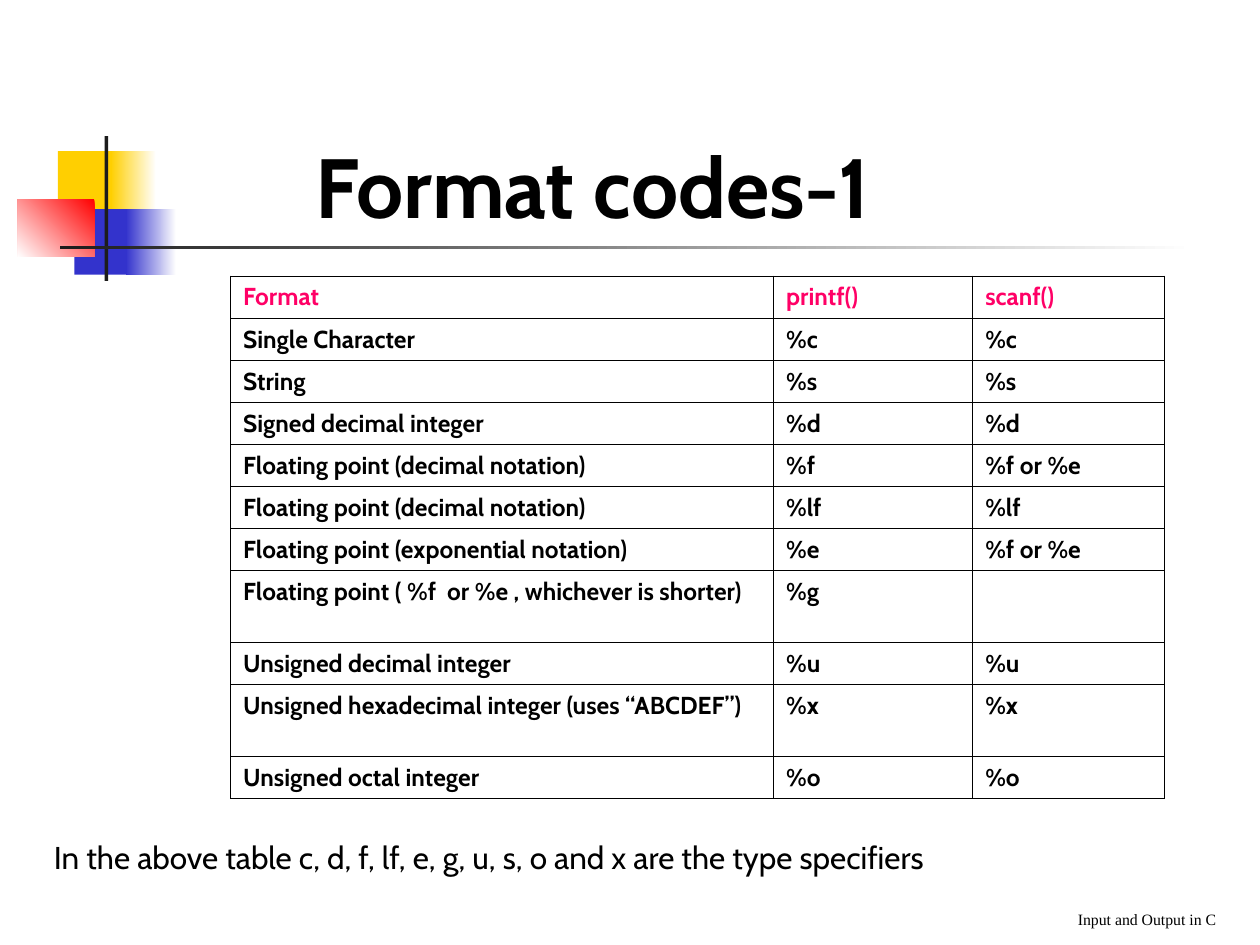
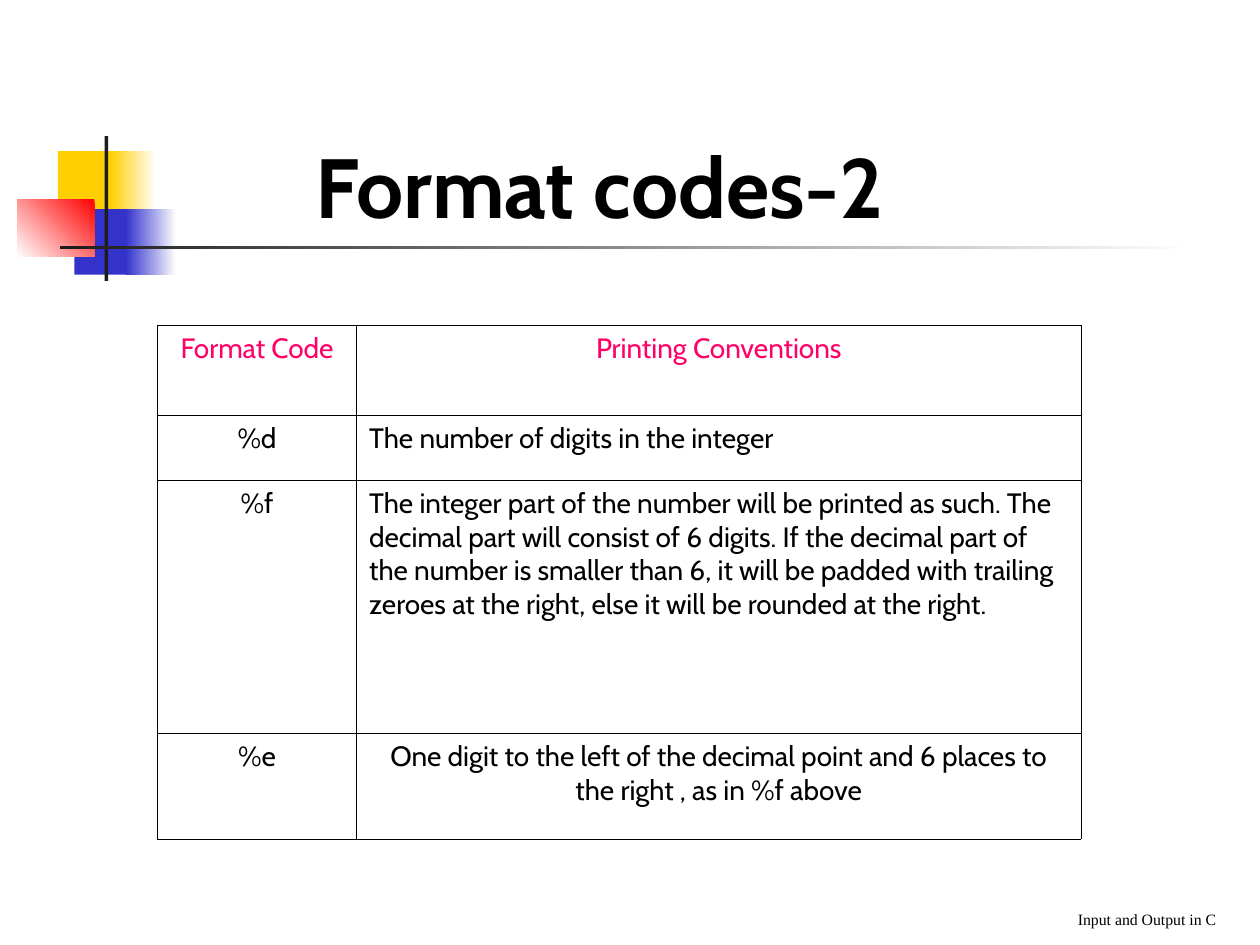
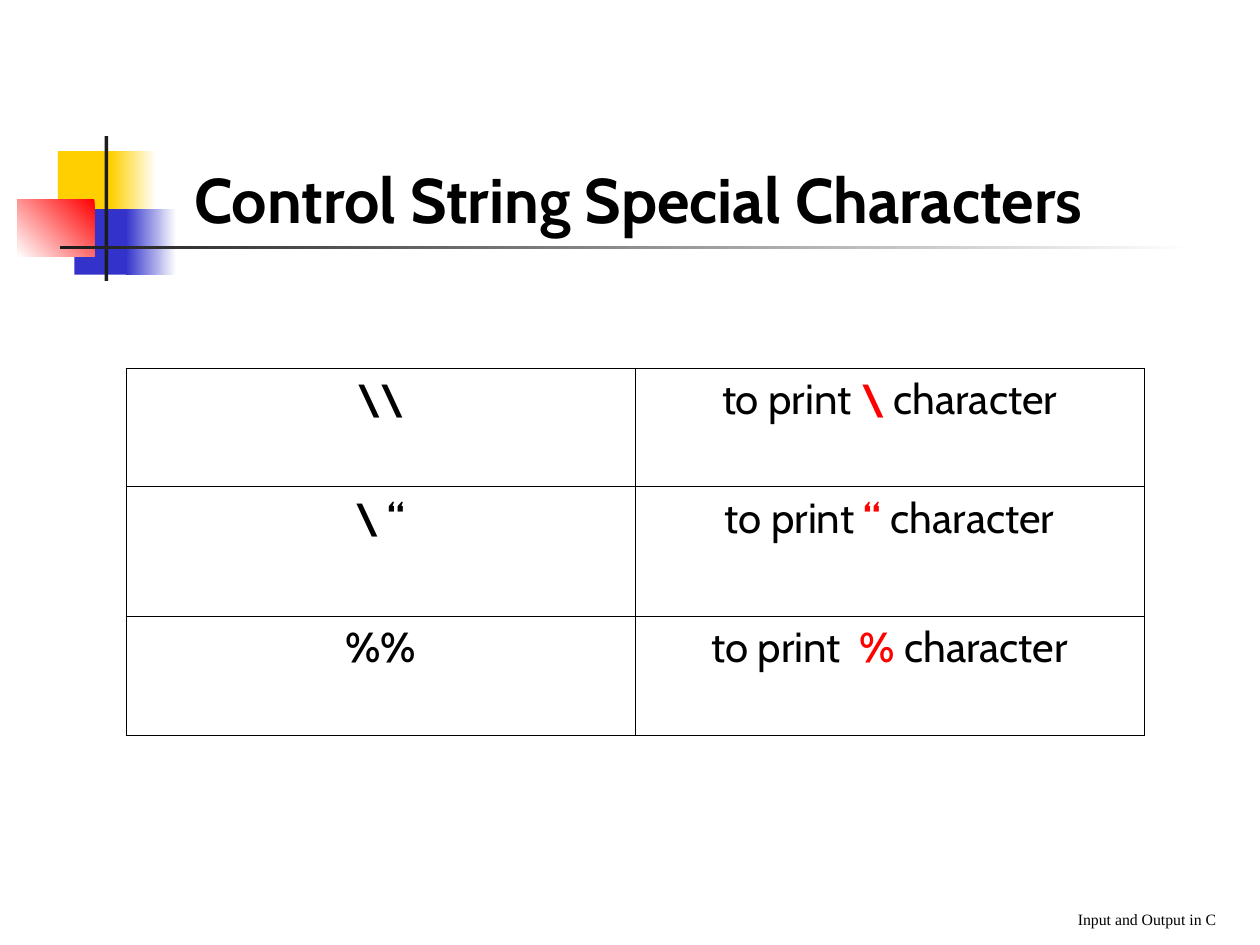
from dataclasses import dataclass
from typing import NamedTuple

from lxml.etree import SubElement
from pptx import Presentation
from pptx.dml.color import RGBColor
from pptx.enum.shapes import MSO_SHAPE
from pptx.enum.text import MSO_ANCHOR, MSO_AUTO_SIZE, PP_ALIGN
from pptx.oxml.ns import qn
from pptx.util import Inches, Pt

COLORS = {
    "black": "000000",
    "white": "FFFFFF",
    "yellow": "FFCF01",
    "blue": "3333CC",
    "red": "FF0000",
    "ink": "1C1C1C",
    "pink": "FF0066",
}
FONT = "Cabin"
FOOTER_FONT = "Times New Roman"
FOOTER = "Input and Output in C"
BORDER_WIDTH = Pt(0.45)
LEFT, CENTER, RIGHT = PP_ALIGN.LEFT, PP_ALIGN.CENTER, PP_ALIGN.RIGHT


class Area(NamedTuple):
    left: float
    top: float
    width: float
    height: float

    def lengths(self) -> list:
        return [Inches(value) for value in self]


class Span(NamedTuple):
    text: str
    color: str = "black"
    bold: bool = False


class Cell(NamedTuple):
    spans: list[Span]
    align: PP_ALIGN = LEFT


@dataclass
class Block:
    """A rectangle of the master's ornament, solid or fading to a second colour."""
    area: Area
    color: str
    fade: str | None = None
    clockwise: int = 180


@dataclass
class Grid:
    left: float
    top: float
    columns: list[float]
    rows: list[float]
    size: int
    cells: list[list[Cell]]


@dataclass
class Page:
    title: str
    title_area: Area
    title_size: int
    grid: Grid
    note: str | None = None


ORNAMENT = [
    Block(Area(0.46, 1.2, 0.48, 0.52), "yellow"),
    Block(Area(0.88, 1.2, 0.36, 0.52), "white", "yellow"),
    Block(Area(0.59, 1.66, 0.46, 0.52), "blue"),
    Block(Area(1, 1.66, 0.4, 0.52), "white", "blue"),
    Block(Area(0.14, 1.58, 0.61, 0.46), "red", "white", 135),
    Block(Area(0.83, 1.08, 0.03, 1.15), "ink"),
    Block(Area(0.48, 1.95, 9, 0.03), "white", "ink"),
]
TITLE_AREA = Area(2.4, 1.02, 5.3, 0.9)
NOTE_AREA = Area(0.33, 6.6, 9.67, 0.4)
FOOTER_AREA = Area(3.67, 6.92, 6.08, 0.5)


def rgb(name: str) -> RGBColor:
    return RGBColor.from_string(COLORS[name])


# Text
def write(frame, text: str | list[Span], *, size: float, font: str = FONT,
          color: str = "black", bold: bool = False, align: PP_ALIGN = LEFT,
          before: float = 0, wrap: bool = True,
          anchor: MSO_ANCHOR = MSO_ANCHOR.TOP,
          fit: MSO_AUTO_SIZE = MSO_AUTO_SIZE.NONE) -> None:
    frame.word_wrap = wrap
    frame.vertical_anchor = anchor
    frame.auto_size = fit
    para = frame.paragraphs[0]
    para.alignment = align
    para.space_before = Pt(before)
    spans = [Span(text, color, bold)] if isinstance(text, str) else text
    for span in spans:
        run = para.add_run()
        run.text = span.text
        run.font.name = font
        run.font.size = Pt(size)
        run.font.bold = span.bold
        run.font.color.rgb = rgb(span.color)


def add_text(slide, area: Area, text: str, **style) -> None:
    box = slide.shapes.add_textbox(*area.lengths())
    write(box.text_frame, text, **style)


# Ornament shared by all slides
def draw_block(slide, block: Block):
    shape = slide.shapes.add_shape(MSO_SHAPE.RECTANGLE, *block.area.lengths())
    shape.shadow.inherit = False
    shape.line.fill.background()
    if block.fade:
        shape.fill.gradient()
        shape.fill.gradient_angle = 360 - block.clockwise
        for stop, name in zip(shape.fill.gradient_stops, (block.color, block.fade)):
            stop.color.rgb = rgb(name)
    else:
        shape.fill.solid()
        shape.fill.fore_color.rgb = rgb(block.color)
    return shape


def move_ornament_to_master(deck, slide) -> None:
    tree = deck.slide_master.shapes.element
    for number, block in enumerate(ORNAMENT, start=101):
        element = draw_block(slide, block).element
        element.xpath(".//p:cNvPr")[0].set("id", str(number))
        tree.append(element)


# Tables
def add_borders(cell) -> None:
    properties = cell._tc.get_or_add_tcPr()
    for position, side in enumerate(("lnL", "lnR", "lnT", "lnB")):
        line = SubElement(properties, qn(f"a:{side}"), w=str(int(BORDER_WIDTH)))
        fill = SubElement(line, qn("a:solidFill"))
        SubElement(fill, qn("a:srgbClr"), val=COLORS["black"])
        properties.insert(position, line)


def draw_grid(slide, grid: Grid) -> None:
    area = Area(grid.left, grid.top, sum(grid.columns), sum(grid.rows))
    table = slide.shapes.add_table(
        len(grid.rows), len(grid.columns), *area.lengths()).table
    table.first_row = table.horz_banding = False
    for column, width in zip(table.columns, grid.columns):
        column.width = Inches(width)
    for row, height, contents in zip(table.rows, grid.rows, grid.cells):
        row.height = Inches(height)
        for cell, content in zip(row.cells, contents):
            cell.fill.background()
            add_borders(cell)
            if content.spans:
                write(cell.text_frame, content.spans, size=grid.size,
                      align=content.align)


# Contents
def format_rows() -> list[list[Cell]]:
    rows = [
        ("Format", "printf()", "scanf()"),
        ("Single Character", "%c", "%c"),
        ("String", "%s", "%s"),
        ("Signed decimal integer", "%d", "%d"),
        ("Floating point (decimal notation)", "%f", "%f or %e"),
        ("Floating point (decimal notation)", "%lf", "%lf"),
        ("Floating point (exponential notation)", "%e", "%f or %e"),
        ("Floating point ( %f  or %e , whichever is shorter)", "%g", ""),
        ("Unsigned decimal integer", "%u", "%u"),
        ("Unsigned hexadecimal integer (uses “ABCDEF”)", "%x", "%x"),
        ("Unsigned octal integer", "%o", "%o"),
    ]
    return [[Cell([Span(text, "black" if index else "pink", True)] if text else [])
             for text in row] for index, row in enumerate(rows)]


def convention_rows() -> list[list[Cell]]:
    rows = [
        ("Format Code", "Printing Conventions", CENTER),
        ("%d", "The number of digits in the integer", LEFT),
        ("%f", "The integer part of the number will be printed as such. "
               "The decimal part will consist of 6 digits. If the decimal part "
               "of the number is smaller than 6, it will be padded with trailing "
               "zeroes at the right, else it will be rounded at the right.", LEFT),
        ("%e", "One digit to the left of the decimal point and 6 places to "
               "the right , as in %f above", CENTER),
    ]
    cells = []
    for index, (code, convention, align) in enumerate(rows):
        color = "black" if index else "pink"
        cells.append([Cell([Span(code, color)], CENTER),
                      Cell([Span(convention, color)], align)])
    return cells


def special_rows() -> list[list[Cell]]:
    rows = [("\\\\", "\\"), ("\\ “", "“"), ("%%", " %")]
    return [[Cell([Span(code, bold=True)], CENTER),
             Cell([Span("to print "), Span(printed, "red", True),
                   Span(" character")], CENTER)] for code, printed in rows]


PAGES = [
    Page("Format codes-1", TITLE_AREA, 48,
         Grid(1.83, 2.19, [4.31, 1.58, 1.52],
              [0.33] * 7 + [0.57, 0.33, 0.57, 0.33], 14, format_rows()),
         "In the above table c, d, f, lf, e, g, u, s, o and x are the type specifiers"),
    Page("Format codes-2", TITLE_AREA, 48,
         Grid(1.25, 2.58, [1.58, 5.75], [0.72, 0.51, 2.01, 0.84], 16,
              convention_rows())),
    Page("Control String Special Characters", Area(1.44, 1.22, 8.44, 0.7), 36,
         Grid(1, 2.92, [4.04] * 2, [0.94, 1.03, 0.95], 24, special_rows())),
]


def draw_page(deck, page: Page):
    slide = deck.slides.add_slide(deck.slide_layouts.get_by_name("Title Only"))
    title = slide.shapes.title
    title.left, title.top, title.width, title.height = page.title_area.lengths()
    write(title.text_frame, page.title, size=page.title_size, bold=True,
          wrap=False, fit=MSO_AUTO_SIZE.SHAPE_TO_FIT_TEXT)
    draw_grid(slide, page.grid)
    if page.note:
        add_text(slide, NOTE_AREA, page.note, size=18, before=11.2,
                 fit=MSO_AUTO_SIZE.SHAPE_TO_FIT_TEXT)
    add_text(slide, FOOTER_AREA, FOOTER, size=9, font=FOOTER_FONT,
             align=RIGHT, anchor=MSO_ANCHOR.BOTTOM)
    return slide


def main() -> None:
    deck = Presentation()
    deck.slide_width, deck.slide_height = Inches(10), Inches(7.5)
    slides = [draw_page(deck, page) for page in PAGES]
    move_ornament_to_master(deck, slides[0])
    deck.save("out.pptx")


if __name__ == "__main__":
    main()
